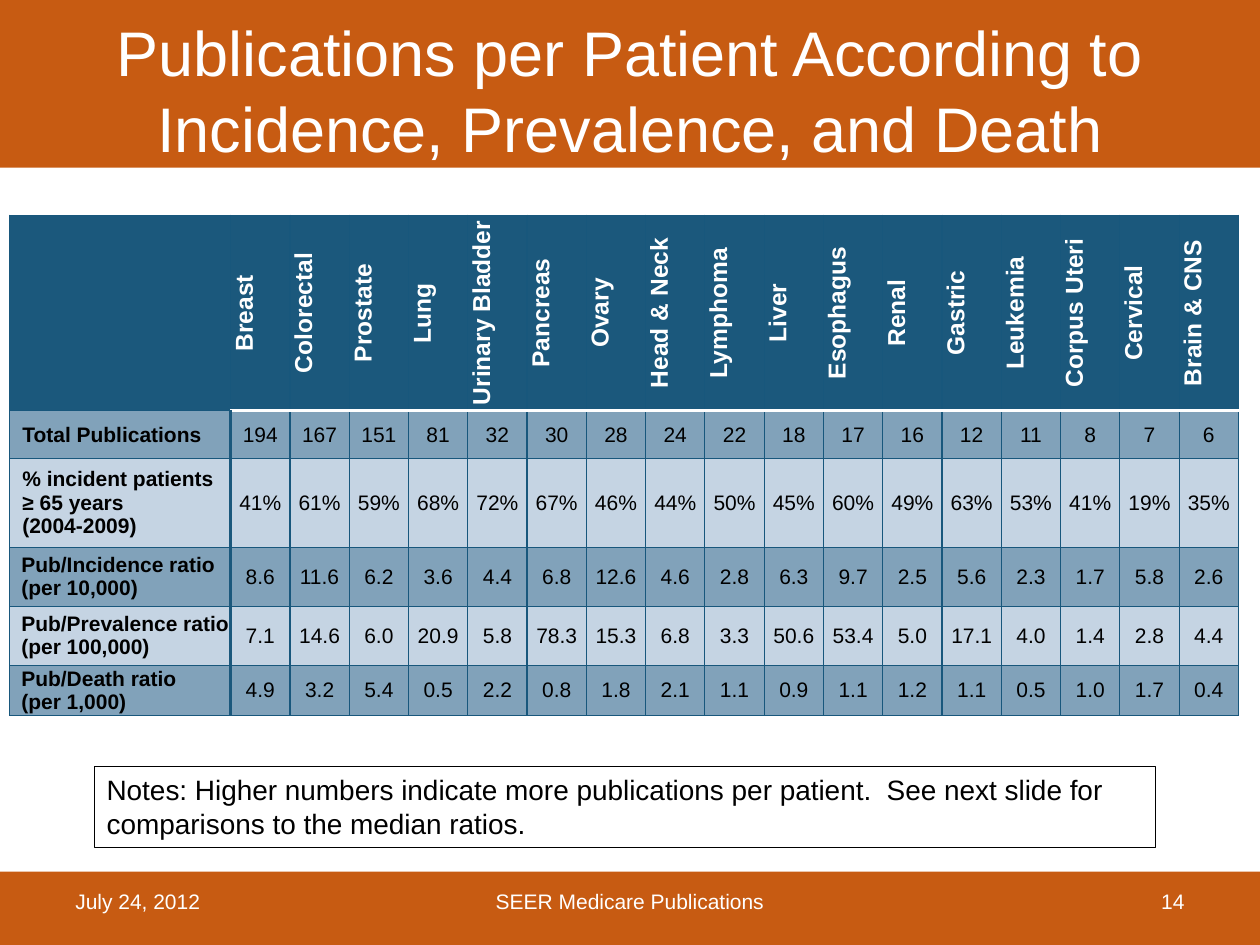
from dataclasses import dataclass
from lxml import etree
from pptx import Presentation
from pptx.dml.color import RGBColor
from pptx.enum import shapes, text
from pptx.oxml import ns
from pptx.util import Cm, Pt


@dataclass(frozen=True)
class Theme:
    font: str = "Arial"
    band: str = "C75B12"
    head: str = "1B587C"
    grid: str = "18577C"
    dark: str = "81A2BA"
    pale: str = "C5D4E3"
    white: str = "FFFFFF"
    black: str = "000000"
    title: int = 36
    note: int = 16
    label: int = 14
    body: int = 12
    thin: float = 0.75
    thick: float = 2


T = Theme()
LEFT, MID, RIGHT = text.PP_ALIGN.LEFT, text.PP_ALIGN.CENTER, text.PP_ALIGN.RIGHT

SITES = [
    "Breast", "Colorectal", "Prostate", "Lung", "Urinary Bladder", "Pancreas",
    "Ovary", "Head & Neck", "Lymphoma", "Liver", "Esophagus", "Renal",
    "Gastric", "Leukemia", "Corpus Uteri", "Cervical", "Brain & CNS",
]
ROWS = [
    ("Total Publications", 0.97, 0.25,
     "194 167 151 81 32 30 28 24 22 18 17 16 12 11 8 7 6"),
    ("% incident patients ≥ 65 years\v(2004-2009)", 1.78, 0.25,
     "41% 61% 59% 68% 72% 67% 46% 44% 50% 45% 60% 49% 63% 53% 41% 19% 35%"),
    ("Pub/Incidence ratio\v(per 10,000)", 1.19, 0.23,
     "8.6 11.6 6.2 3.6 4.4 6.8 12.6 4.6 2.8 6.3 9.7 2.5 5.6 2.3 1.7 5.8 2.6"),
    ("Pub/Prevalence ratio (per 100,000)", 1.19, 0.23,
     "7.1 14.6 6.0 20.9 5.8 78.3 15.3 6.8 3.3 50.6 53.4 5.0 17.1 4.0 1.4 2.8 4.4"),
    ("Pub/Death ratio\v(per 1,000)", 1.01, 0.23,
     "4.9 3.2 5.4 0.5 2.2 0.8 1.8 2.1 1.1 0.9 1.1 1.2 1.1 0.5 1.0 1.7 0.4"),
]


def rgb(hue):
    return RGBColor.from_string(hue)


def write(frame, words, size, hue, align=LEFT, bold=False):
    frame.text = words
    frame.word_wrap = True
    for para in frame.paragraphs:
        para.alignment = align
        for run in para.runs:
            run.font.name = T.font
            run.font.size = Pt(size)
            run.font.bold = bold
            run.font.color.rgb = rgb(hue)


def label(slide, box, words, size, hue, align=LEFT):
    area = slide.shapes.add_textbox(*map(Cm, box))
    write(area.text_frame, words, size, hue, align)
    area.text_frame.vertical_anchor = text.MSO_ANCHOR.MIDDLE
    return area


def band(slide, box):
    bar = slide.shapes.add_shape(shapes.MSO_SHAPE.RECTANGLE, *map(Cm, box))
    bar.shadow.inherit = False
    bar.fill.solid()
    bar.fill.fore_color.rgb = rgb(T.band)
    bar.line.fill.background()


def header(slide, box):
    left, top, width, height = box
    band(slide, box)
    label(slide, (left + 1.27, top + 0.43, width - 2.54, height - 0.64),
          "Publications per Patient According to Incidence, Prevalence, and Death",
          T.title, T.white, MID)


def footer(slide, box):
    left, top, width, height = box
    band(slide, box)
    parts = [
        (1.27, 5.93, "July 24, 2012", LEFT),
        (8.68, 8.04, "SEER Medicare Publications", MID),
        (width - 7.2, 5.93, "14", RIGHT),
    ]
    for x, wide, words, align in parts:
        label(slide, (left + x, top + 0.08, wide, 1.02),
              words, T.body, T.white, align)


def note(slide, box):
    area = label(slide, box,
                 "Notes: Higher numbers indicate more publications per patient.  "
                 "See next slide for comparisons to the median ratios.",
                 T.note, T.black)
    area.text_frame.vertical_anchor = text.MSO_ANCHOR.TOP
    area.line.color.rgb = rgb(T.black)
    area.line.width = Pt(0.25)


def edges(cell, row, col):
    sides = {side: (T.grid, T.thin) for side in "LRTB"}
    if row and col == 0:
        sides["R"] = (T.head, T.thick)
    if row and col == 1:
        sides["L"] = (T.head, T.thick)
    if row == 0 and col:
        sides["B"] = (T.white, T.thick)
    if row == 1 and col:
        sides["T"] = (T.white, T.thick)
    props = cell._tc.get_or_add_tcPr()
    for spot, (side, (hue, width)) in enumerate(sides.items()):
        line = etree.Element(ns.qn("a:ln" + side), w=str(Pt(width)))
        fill = etree.SubElement(line, ns.qn("a:solidFill"))
        etree.SubElement(fill, ns.qn("a:srgbClr"), val=hue)
        props.insert(spot, line)


def style(cell, row, col, inset):
    cell.fill.solid()
    shade = T.head if row == 0 else T.dark if row % 2 else T.pale
    cell.fill.fore_color.rgb = rgb(shade)
    cell.vertical_anchor = text.MSO_ANCHOR.MIDDLE
    cell.margin_left = Cm(inset)
    cell.margin_right = Cm(inset if inset == 0.25 else 0)
    cell.margin_top = cell.margin_bottom = 0
    if row == 0 and col:
        cell._tc.get_or_add_tcPr().set("vert", "vert270")
    edges(cell, row, col)


def ratios(slide, box):
    left, top, width, height = box
    first = 4.45
    frame = slide.shapes.add_table(len(ROWS) + 1, len(SITES) + 1, *map(Cm, box))
    table = frame.table
    for col, column in enumerate(table.columns):
        column.width = Cm((width - first) / len(SITES) if col else first)
    tall = [high for _, high, _, _ in ROWS]
    for row, high in zip(table.rows, [height - sum(tall)] + tall):
        row.height = Cm(high)
    lines = [("", 0, SITES)]
    lines += [(name, inset, nums.split()) for name, _, inset, nums in ROWS]
    for row, (name, inset, items) in enumerate(lines):
        for col, words in enumerate([name] + items):
            cell = table.cell(row, col)
            write(cell.text_frame, words,
                  T.body if row else T.label, T.black if row else T.white,
                  MID if col else LEFT, row == 0 or col == 0)
            style(cell, row, col, 0 if col else inset)


def main():
    deck = Presentation()
    deck.slide_width, deck.slide_height = Cm(25.4), Cm(19.05)
    slide = deck.slides.add_slide(deck.slide_layouts[6])
    header(slide, (0, 0, 25.4, 3.38))
    ratios(slide, (0.2, 4.34, 24.77, 10.08))
    note(slide, (1.9, 15.45, 21.39, 1.63))
    footer(slide, (0, 17.57, 25.4, 1.48))
    deck.save("out.pptx")


if __name__ == "__main__":
    main()
